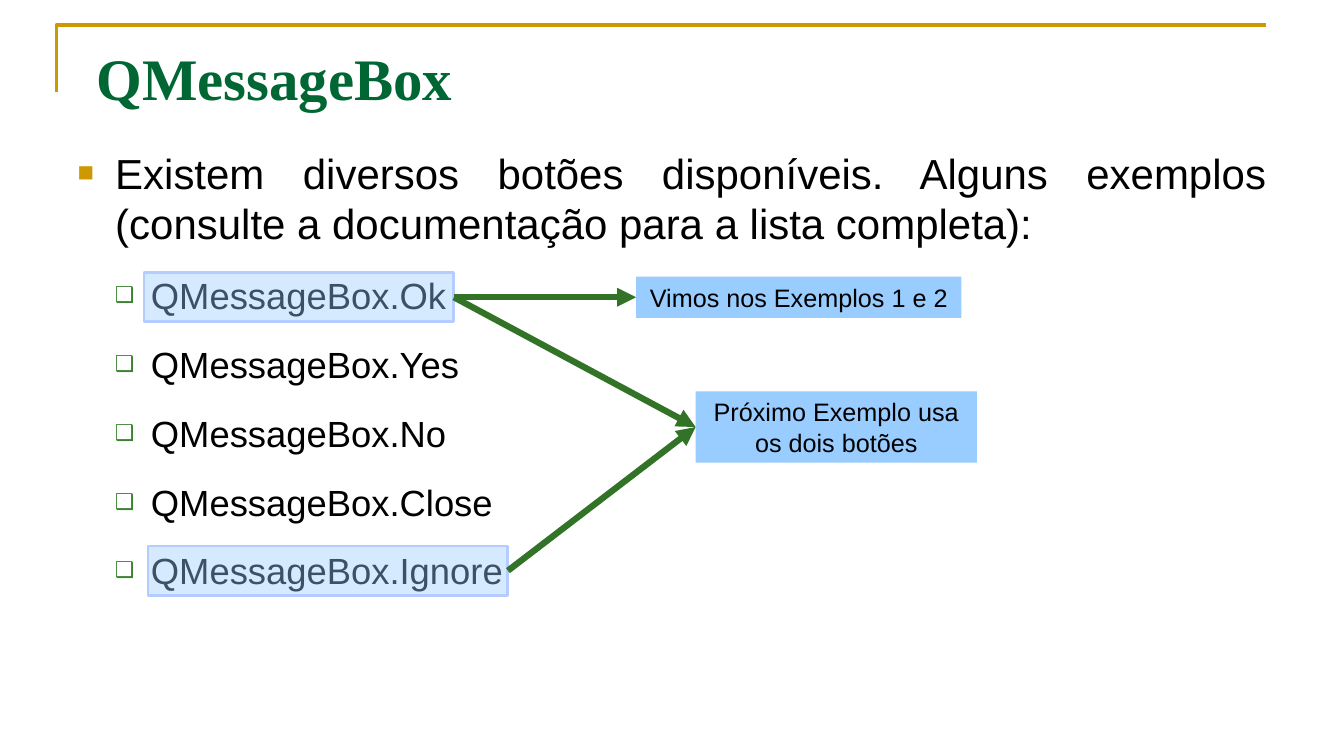
from lxml.etree import SubElement
from pptx import Presentation
from pptx.dml.color import RGBColor
from pptx.enum.shapes import MSO_CONNECTOR, MSO_SHAPE
from pptx.enum.text import MSO_ANCHOR, MSO_AUTO_SIZE, PP_ALIGN
from pptx.oxml.ns import qn
from pptx.util import Cm, Pt

RIGHT_SITE, LEFT_SITE = 3, 1


def color(hex_value):
    return RGBColor.from_string(hex_value)


class SlideBuilder:
    GOLD, TITLE_GREEN, BULLET_GREEN, ARROW_GREEN = "CC9900", "006633", "3B812F", "337327"
    BLUE, BORDER, BLACK = "99CCFF", "B4CCFF", "000000"
    FONT, TITLE_FONT = "Arial", "Times New Roman"

    def __init__(self, presentation):
        self.slide = presentation.slides.add_slide(presentation.slide_layouts[1])

    def style(self, paragraph, size, font=FONT, ink=BLACK, bold=False):
        for run in paragraph.runs:
            run.font.name, run.font.size, run.font.bold = font, Pt(size), bold
            run.font.color.rgb = color(ink)

    def place(self, holder, left, top, width, height, anchor):
        holder.left, holder.top = Cm(left), Cm(top)
        holder.width, holder.height = Cm(width), Cm(height)
        frame = holder.text_frame
        frame.word_wrap, frame.auto_size = True, MSO_AUTO_SIZE.NONE
        frame.vertical_anchor = anchor
        return frame

    def corner_rule(self, left, top, width, height):
        outline = self.slide.shapes.build_freeform(Cm(left), Cm(top + height))
        outline.add_line_segments(
            [(Cm(left), Cm(top)), (Cm(left + width), Cm(top))], close=False)
        rule = outline.convert_to_shape()
        rule.shadow.inherit = False
        rule.fill.background()
        rule.line.color.rgb, rule.line.width = color(self.GOLD), Pt(2.5)

    def title(self, text, *box):
        frame = self.place(self.slide.shapes.title, *box, MSO_ANCHOR.MIDDLE)
        frame.margin_bottom = Cm(0.27)
        frame.text = text
        heading = frame.paragraphs[0]
        heading.alignment = PP_ALIGN.LEFT
        self.style(heading, 42, self.TITLE_FONT, self.TITLE_GREEN, True)

    def bullet(self, paragraph, symbol, ink, percent, margin, hanging):
        properties = paragraph._p.get_or_add_pPr()
        properties.set("marL", str(Cm(margin)))
        properties.set("indent", str(-Cm(hanging)))
        tint = SubElement(properties, qn("a:buClr"))
        SubElement(tint, qn("a:srgbClr"), val=ink)
        SubElement(properties, qn("a:buSzPct"), val=str(percent * 1000))
        SubElement(properties, qn("a:buFont"), typeface=self.FONT)
        SubElement(properties, qn("a:buChar"), char=symbol)

    def bullets(self, lead, items, *box):
        frame = self.place(self.slide.placeholders[1], *box, MSO_ANCHOR.TOP)
        frame.text = "\n".join([lead, *items])
        for index, paragraph in enumerate(frame.paragraphs):
            if index:
                paragraph.level = 1
                self.bullet(paragraph, "❑", self.BULLET_GREEN, 60, 1.85, 0.91)
            else:
                self.bullet(paragraph, "■", self.GOLD, 65, 0.95, 0.95)
            paragraph.alignment = PP_ALIGN.JUSTIFY
            paragraph.line_spacing = 1.0
            paragraph.space_before = Pt(18 if index else 0)
            self.style(paragraph, 26 if index else 30)

    def box(self, left, top, width, height):
        panel = self.slide.shapes.add_shape(
            MSO_SHAPE.RECTANGLE, Cm(left), Cm(top), Cm(width), Cm(height))
        panel.shadow.inherit = False
        panel.fill.solid()
        panel.fill.fore_color.rgb = color(self.BLUE)
        return panel

    def highlight(self, *box):
        panel = self.box(*box)
        tint = panel._element.spPr.find(qn("a:solidFill")).find(qn("a:srgbClr"))
        SubElement(tint, qn("a:alpha"), val="40000")
        panel.line.color.rgb, panel.line.width = color(self.BORDER), Pt(2)
        return panel

    def label(self, text, *box):
        panel = self.box(*box)
        panel.line.fill.background()
        frame = panel.text_frame
        frame.word_wrap = True
        frame.text = text
        frame.paragraphs[0].alignment = PP_ALIGN.CENTER
        self.style(frame.paragraphs[0], 18)
        return panel

    def arrow(self, source, target):
        link = self.slide.shapes.add_connector(MSO_CONNECTOR.STRAIGHT, 0, 0, 0, 0)
        link.begin_connect(source, RIGHT_SITE)
        link.end_connect(target, LEFT_SITE)
        link.line.color.rgb, link.line.width = color(self.ARROW_GREEN), Pt(4.5)
        SubElement(link.line._get_or_add_ln(), qn("a:tailEnd"), type="triangle")
        SubElement(link._element.spPr, qn("a:effectLst"))


def main():
    presentation = Presentation()
    presentation.slide_width, presentation.slide_height = Cm(33.87), Cm(19.05)
    page = SlideBuilder(presentation)
    page.corner_rule(1.42, 0.63, 30.48, 1.7)
    page.title("QMessageBox", 2.18, 0.91, 30.48, 2.21)
    buttons = ["Ok", "Yes", "No", "Close", "Ignore"]
    page.bullets(
        "Existem diversos botões disponíveis. Alguns exemplos "
        "(consulte a documentação para a lista completa):",
        [f"QMessageBox.{button}" for button in buttons],
        1.7, 3.58, 30.48, 12.57)
    ok_button = page.highlight(3.63, 6.87, 7.81, 1.24)
    ignore_button = page.highlight(3.73, 13.76, 9.07, 1.24)
    seen_examples = page.label("Vimos nos Exemplos 1 e 2", 16.03, 6.97, 8.2, 1.04)
    next_example = page.label(
        "Próximo Exemplo usa os dois botões", 17.53, 9.86, 7.09, 1.8)
    for source, target in [(ok_button, seen_examples),
                           (ignore_button, next_example),
                           (ok_button, next_example)]:
        page.arrow(source, target)
    presentation.save("out.pptx")


if __name__ == "__main__":
    main()
